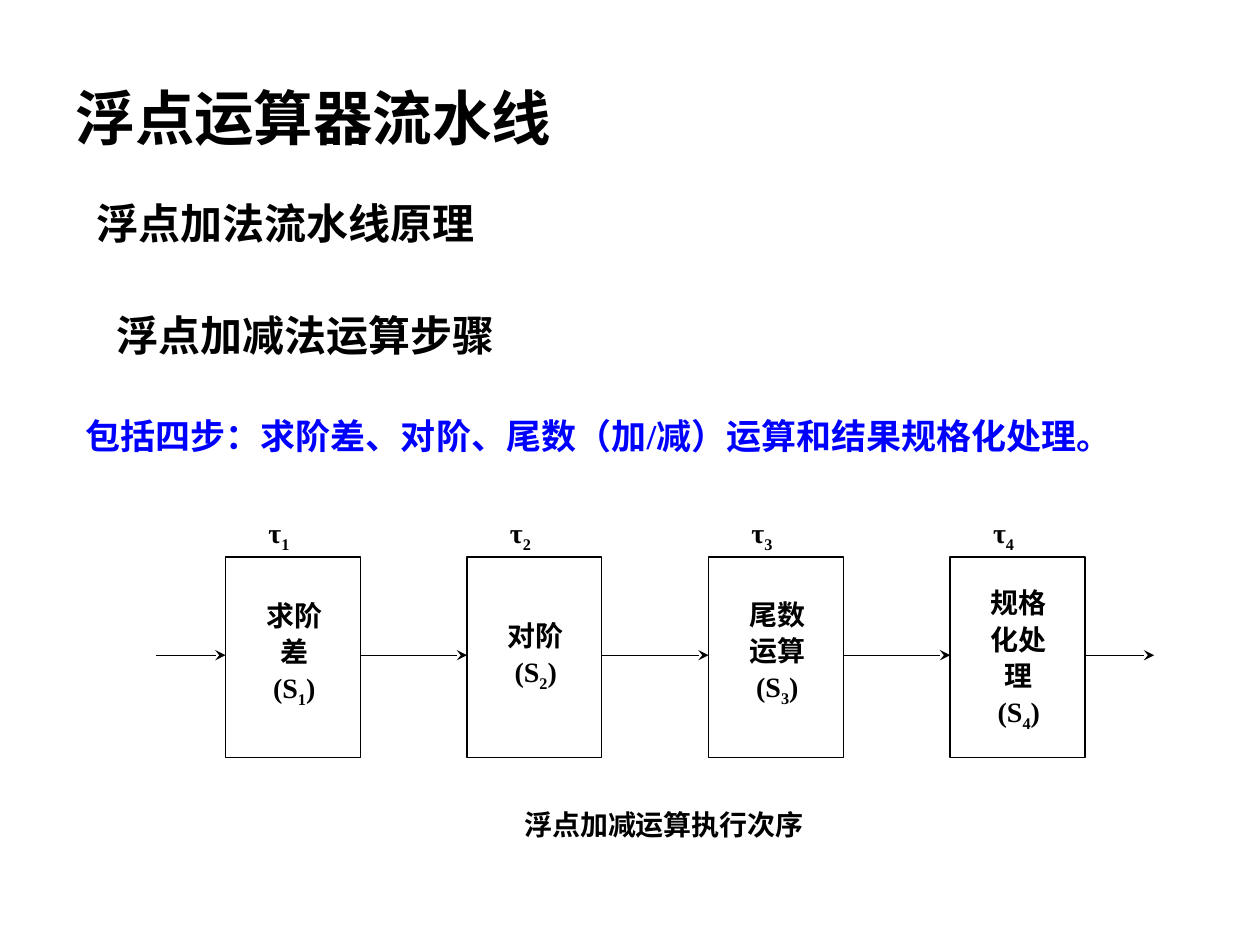
from lxml import etree
from pptx import Presentation
from pptx import util as u
from pptx.dml.color import RGBColor
from pptx.enum import shapes, text
from pptx.oxml import ns

HAN = "Noto Sans CJK SC"
LATIN = "Times New Roman"


def color(value):
    return RGBColor.from_string(value)


class Diagram:
    ink = "000000"
    line_width = u.Pt(0.75)

    def __init__(self, slide):
        self.slide = slide

    def style(self, run, size, font=HAN, ink=None):
        run.font.size = u.Pt(size)
        run.font.bold = True
        run.font.name = font
        run.font.color.rgb = color(ink or self.ink)
        east_asian = etree.SubElement(run.font._element, ns.qn("a:ea"))
        east_asian.set("typeface", HAN)

    def title(self, wording):
        heading = self.slide.shapes.title
        heading.left, heading.top = u.Inches(0.5), u.Inches(0.3)
        heading.width, heading.height = u.Inches(9), u.Inches(1.25)
        heading.text_frame.text = wording
        heading.text_frame.vertical_anchor = text.MSO_ANCHOR.MIDDLE
        paragraph = heading.text_frame.paragraphs[0]
        paragraph.alignment = text.PP_ALIGN.LEFT
        self.style(paragraph.runs[0], 34)

    def frame(self, shape, side, top, bottom):
        frame = shape.text_frame
        frame.word_wrap = True
        frame.vertical_anchor = text.MSO_ANCHOR.TOP
        frame.margin_left = frame.margin_right = u.Inches(side)
        frame.margin_top, frame.margin_bottom = u.Inches(top), u.Inches(bottom)
        return frame

    def textbox(self, left, top, width, height, side=0, margin=0):
        box = self.slide.shapes.add_textbox(*map(u.Inches, (left, top, width, height)))
        return self.frame(box, side, margin, margin)

    def heading(self, wording, left, top, width):
        frame = self.textbox(left, top, width, 0.5, 0.1, 0.05)
        frame.text = wording
        self.style(frame.paragraphs[0].runs[0], 24)

    def summary(self, parts, left, top, width, height):
        paragraph = self.textbox(left, top, width, height, 0.1, 0.01).paragraphs[0]
        for wording, font in parts:
            run = paragraph.add_run()
            run.text = wording
            self.style(run, 20, font, "0000FF")

    def indexed(self, paragraph, *parts):
        for position, wording in enumerate(parts):
            run = paragraph.add_run()
            run.text = wording
            self.style(run, 16, LATIN)
            if position == 1:
                run.font._element.set("baseline", "-25000")

    def delay(self, number, left, top):
        paragraph = self.textbox(left, top, 0.52, 0.25).paragraphs[0]
        paragraph.alignment = text.PP_ALIGN.JUSTIFY
        self.indexed(paragraph, "τ", str(number))

    def plain_shape(self, kind, left, top, width, height):
        shape = self.slide.shapes.add_shape(
            kind, *map(u.Inches, (left, top, width, height)))
        shape.shadow.inherit = False
        shape.fill.background()
        return shape

    def stage(self, left, top, width, height):
        box = self.plain_shape(shapes.MSO_SHAPE.RECTANGLE, left, top, width, height)
        box.line.color.rgb = color(self.ink)
        box.line.width = self.line_width

    def stage_name(self, lines, number, left, top):
        frame = self.textbox(left, top, 0.57, 0.3 * (len(lines) + 1))
        frame.text = "\n".join(lines)
        for paragraph in frame.paragraphs:
            self.style(paragraph.runs[0], 16, LATIN)
        self.indexed(frame.add_paragraph(), "(S", str(number), ")")
        for paragraph in frame.paragraphs:
            paragraph.alignment = text.PP_ALIGN.CENTER
            paragraph.space_after = u.Pt(1.5)

    def arrow(self, start, end, y):
        arrow = self.slide.shapes.add_connector(
            shapes.MSO_CONNECTOR.STRAIGHT, *map(u.Inches, (start, y, end, y)))
        arrow.line.color.rgb = color(self.ink)
        arrow.line.width = self.line_width
        head = etree.SubElement(arrow.line._get_or_add_ln(), ns.qn("a:tailEnd"))
        head.set("type", "stealth")
        etree.SubElement(arrow._element.spPr, ns.qn("a:effectLst"))

    def caption(self, wording, left, top, width, height):
        box = self.plain_shape(
            shapes.MSO_SHAPE.FLOWCHART_PROCESS, left, top, width, height)
        box.line.fill.background()
        frame = self.frame(box, 0, 0.02, 0)
        frame.text = wording
        frame.paragraphs[0].alignment = text.PP_ALIGN.CENTER
        self.style(frame.paragraphs[0].runs[0], 16)


def main():
    deck = Presentation()
    deck.slide_width, deck.slide_height = u.Inches(10), u.Inches(7.5)
    diagram = Diagram(deck.slides.add_slide(deck.slide_layouts[5]))

    diagram.title("浮点运算器流水线")
    diagram.heading("浮点加法流水线原理", 0.67, 1.52, 4.75)
    diagram.heading("浮点加减法运算步骤", 0.83, 2.41, 5.19)
    diagram.summary([
        ("包括四步：求阶差、对阶、尾数（加", HAN),
        ("/", LATIN),
        ("减）运算和结果规格化处理。", HAN),
    ], 0.58, 3.28, 9.42, 0.36)

    stages = [
        (["求阶", "差"], 4.75),
        (["对阶"], 4.91),
        (["尾数", "运算"], 4.74),
        (["规格", "化处", "理"], 4.65),
    ]
    first, pitch, width, flow_y = 1.79, 1.917, 1.07, 5.2
    previous_end = 1.24
    for index, (lines, name_top) in enumerate(stages):
        left = first + index * pitch
        diagram.arrow(previous_end, left, flow_y)
        diagram.stage(left, 4.42, width, 1.59)
        diagram.delay(index + 1, left + 0.34, 4.09)
        diagram.stage_name(lines, index + 1, left + 0.26, name_top)
        previous_end = left + width
    diagram.arrow(previous_end, 9.16, flow_y)

    diagram.caption("浮点加减运算执行次序", 2.69, 6.39, 5.16, 0.53)
    deck.save("out.pptx")


if __name__ == "__main__":
    main()
